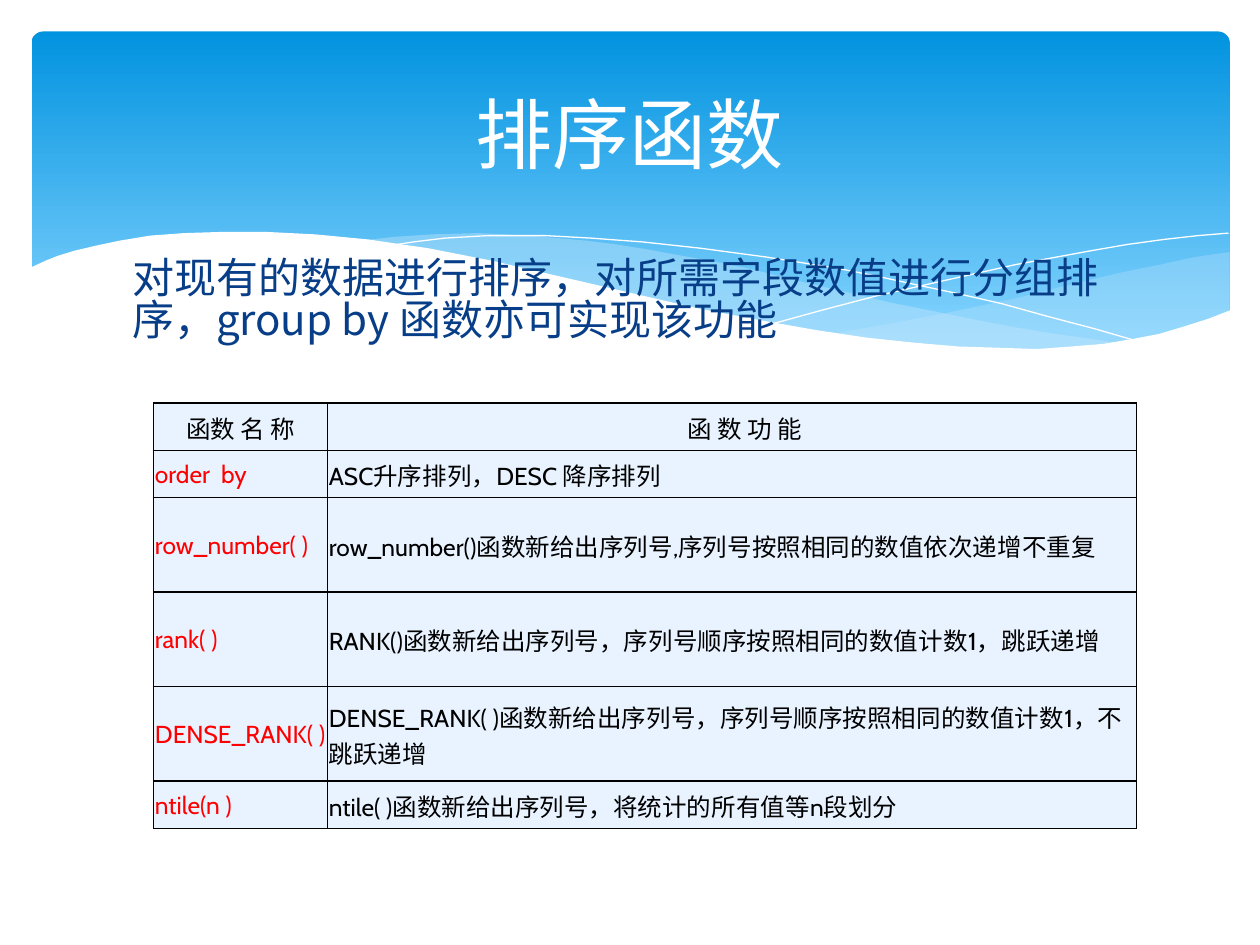
"""Build the slide on SQL sorting functions: a wave banner, a lead text and a table."""
from lxml.etree import SubElement as Sub
from pptx import Presentation
from pptx.dml.color import RGBColor as RGB
from pptx.enum.shapes import MSO_SHAPE as Shape
from pptx.enum.text import MSO_ANCHOR as Anchor, PP_ALIGN as Align
from pptx.oxml.ns import qn
from pptx.util import Inches, Pt

WHITE = RGB(0xFF, 0xFF, 0xFF)
BLACK = RGB(0, 0, 0)
RED = RGB(0xFF, 0, 0)
NAVY = RGB(0x07, 0x3E, 0x87)
DEEP = RGB(0x02, 0x93, 0xE0)
SKY = RGB(0x83, 0xD3, 0xFE)
MIST = RGB(0xC6, 0xE7, 0xFC)
PALE = RGB(0xE8, 0xF3, 0xFF)
HAN = "Noto Sans CJK SC"

deck = Presentation()
deck.slide_width, deck.slide_height = Inches(10), Inches(7.5)
unit = deck.slide_width // 1000
slide = deck.slides.add_slide(deck.slide_layouts[5])
shapes = slide.shapes


def write(frame, text, size=14, color=BLACK, font="Cabin", align=Align.LEFT):
    par = frame.paragraphs[0]
    par.alignment = align
    run = par.add_run()
    run.text = text
    run.font.size, run.font.name = Pt(size), font
    run.font.color.rgb = color
    Sub(run.font._element, qn("a:ea"), typeface=HAN)
    return par


def wave(dots, fill=None, alpha=100):
    path = shapes.build_freeform(*dots[0], scale=unit)
    path.add_line_segments(dots[1:], close=fill is not None)
    form = path.convert_to_shape()
    form.shadow.inherit = False
    if fill is None:
        form.fill.background()
        form.line.color.rgb = WHITE
        form.line.width = Pt(0)
        return
    form.line.fill.background()
    form.fill.solid()
    form.fill.fore_color.rgb = fill
    tint = form.fill._xPr.find(qn("a:solidFill"))[0]
    Sub(tint, qn("a:alpha"), val=str(alpha * 1000))


banner = shapes.add_shape(Shape.ROUNDED_RECTANGLE, 25 * unit, 25 * unit, 951 * unit, 270 * unit)
banner.adjustments[0] = 0.034
banner.shadow.inherit = False
banner.line.fill.background()
banner.fill.gradient()
banner.fill.gradient_angle = 270
for stop, color, spot in zip(banner.fill.gradient_stops, (DEEP, SKY), (0, 0.9)):
    stop.color.rgb, stop.position = color, spot

wave([(976, 200), (948, 204), (921, 210), (891, 216), (861, 223), (805, 237),
      (753, 248), (706, 257), (661, 265), (691, 269), (719, 272), (745, 275),
      (769, 277), (803, 278), (835, 277), (863, 275), (889, 272), (913, 267),
      (935, 262), (949, 257), (963, 252), (976, 247)], MIST, 29)
wave([(893, 273), (866, 269), (837, 265), (807, 260), (775, 254), (741, 247),
      (706, 240), (668, 231), (629, 222), (598, 214), (569, 208), (541, 203),
      (514, 198), (489, 194), (465, 191), (420, 187), (380, 185), (344, 186),
      (313, 188), (286, 191), (323, 196), (362, 203), (404, 211), (449, 222),
      (491, 232), (530, 240), (566, 248), (601, 255), (634, 261), (665, 266),
      (695, 270), (722, 274), (748, 276), (773, 277), (807, 278), (838, 278),
      (867, 276), (893, 273)], MIST, 40)
wave([(309, 195), (328, 192), (353, 189), (387, 187), (433, 187), (469, 189),
      (510, 192), (556, 197), (608, 204), (665, 213), (695, 219), (727, 226),
      (760, 233), (795, 241), (831, 251), (869, 261), (907, 272)])
wave([(613, 257), (653, 246), (695, 235), (748, 223), (806, 210), (866, 199),
      (895, 194), (924, 190), (951, 187), (975, 185)])
wave([(977, 246), (959, 253), (940, 259), (920, 265), (899, 269), (875, 273),
      (850, 275), (823, 277), (793, 276), (761, 275), (726, 272), (688, 268),
      (648, 262), (603, 254), (555, 245), (503, 233), (447, 220), (391, 207),
      (340, 197), (292, 190), (250, 186), (211, 184), (177, 184), (146, 185),
      (119, 187), (95, 191), (76, 195), (59, 199), (46, 203), (36, 207),
      (23, 213), (23, 329), (977, 329)], WHITE)

lead = shapes.add_textbox(95 * unit, 202 * unit, 810 * unit, 468 * unit).text_frame
lead.word_wrap = True
par = write(lead, "对现有的数据进行排序，对所需字段数值进行分组排序，group by 函数亦可实现该功能",
            size=24, color=NAVY, font=HAN)
par.space_before, par.line_spacing = Pt(4.8), 0.82

title = shapes.title
title.left, title.top, title.width, title.height = (n * unit for n in (50, 37, 900, 137))
title.text_frame.vertical_anchor = Anchor.MIDDLE
write(title.text_frame, "排序函数", size=44, color=WHITE, align=Align.CENTER)
shapes._spTree.append(title._element)

rows = [
    ("函数 名 称", "函 数 功 能"),
    ("order  by", "ASC升序排列，DESC 降序排列"),
    ("row_number( )", "row_number()函数新给出序列号,序列号按照相同的数值依次递增不重复"),
    ("rank( )", "RANK()函数新给出序列号，序列号顺序按照相同的数值计数1，跳跃递增"),
    ("DENSE_RANK( )", "DENSE_RANK( )函数新给出序列号，序列号顺序按照相同的数值计数1，不跳跃递增"),
    ("ntile(n )", "ntile( )函数新给出序列号，将统计的所有值等n段划分"),
]
step = Inches(0.375)
spans = (1, 1, 2, 2, 2, 1)
grid = shapes.add_table(len(rows), 2, 122 * unit, 320 * unit, 780 * unit, sum(spans) * step).table
grid.columns[0].width, grid.columns[1].width = 138 * unit, 642 * unit
for r, (row, span) in enumerate(zip(rows, spans)):
    grid.rows[r].height = span * step
    for c, text in enumerate(row):
        cell = grid.cell(r, c)
        cell.margin_left = cell.margin_right = cell.margin_top = unit
        cell.margin_bottom = 0
        cell.vertical_anchor = Anchor.MIDDLE
        write(cell.text_frame, text, color=RED if r and not c else BLACK,
              align=Align.LEFT if r else Align.CENTER)
        props = cell._tc.get_or_add_tcPr()
        for side in ("lnL", "lnR", "lnT", "lnB"):
            edge = Sub(props, qn("a:" + side), w=str(Pt(1)))
            Sub(Sub(edge, qn("a:solidFill")), qn("a:srgbClr"), val=str(BLACK))
        cell.fill.solid()
        cell.fill.fore_color.rgb = PALE
grid.cell(0, 1).margin_left = 22 * unit

deck.save("out.pptx")
